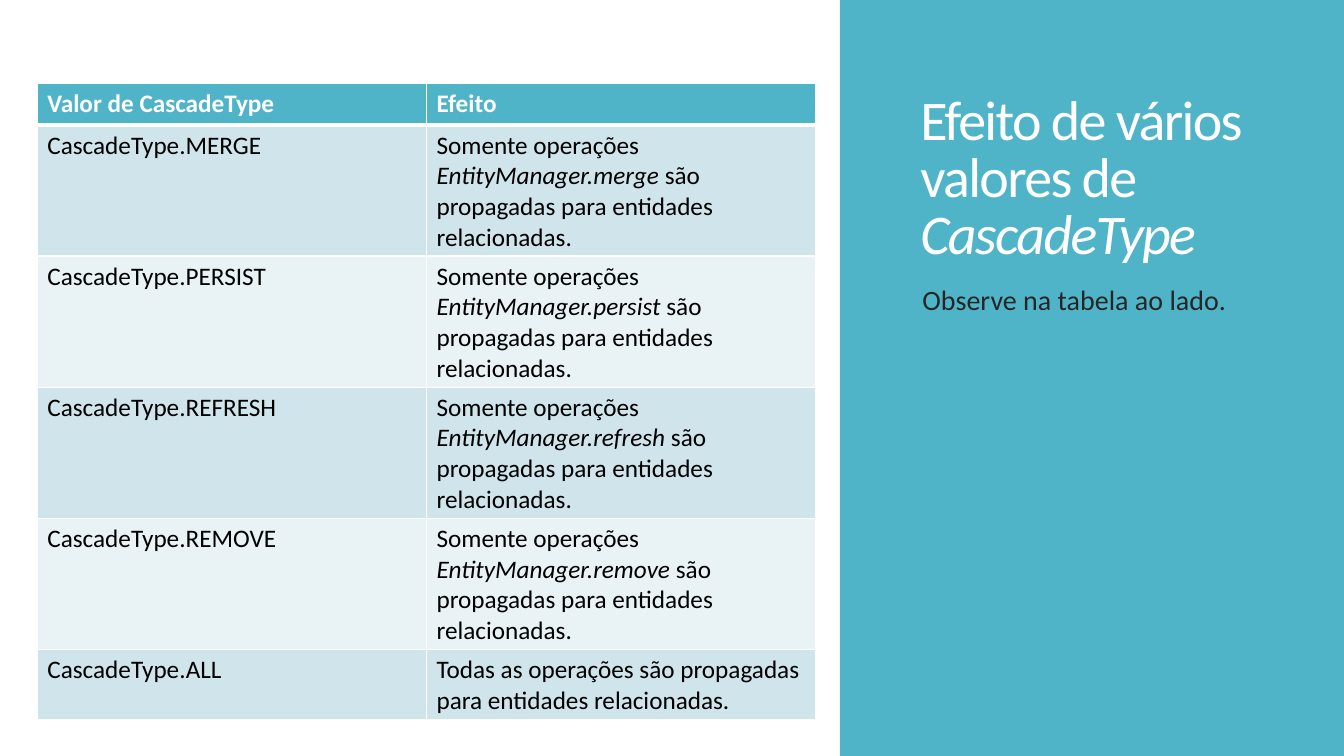
from lxml.etree import SubElement
from pptx import Presentation
from pptx.dml.color import RGBColor
from pptx.enum.shapes import MSO_SHAPE as Shape
from pptx.enum.text import MSO_ANCHOR as Anchor
from pptx.oxml.ns import qn
from pptx.util import Inches, Pt

COLORS = {
    "teal": "50B4C8",
    "white": "FFFFFF",
    "black": "000000",
    "gray": "262626",
    "band_dark": "D0E5EB",
    "band_light": "E9F2F5",
}
OPERATIONS = ["merge", "persist", "refresh", "remove"]


class SlideBuilder:
    font = "Calibri"

    def __init__(self, slide):
        self.slide = slide

    def color(self, name):
        return RGBColor.from_string(COLORS[name])

    def fill_text(self, frame, spans, size, color, bold=False, spacing=None, line=None):
        para = frame.paragraphs[0]
        para.line_spacing = line
        para.font.name = self.font
        para.font.size = Pt(size)
        para.font.bold = bold
        para.font.color.rgb = self.color(color)
        for text, italic in spans:
            span = para.add_run()
            span.text = text
            if italic:
                span.font.italic = True
            if spacing is not None:
                span._r.get_or_add_rPr().set("spc", str(round(spacing * 100)))

    def panel(self, left, top, width, height, color):
        panel = self.slide.shapes.add_shape(
            Shape.RECTANGLE, Inches(left), Inches(top), Inches(width), Inches(height))
        panel.shadow.inherit = False
        panel.fill.solid()
        panel.fill.fore_color.rgb = self.color(color)
        panel.line.fill.background()

    def text(self, left, top, width, height, spans, size, color, anchor=Anchor.TOP, **style):
        box = self.slide.shapes.add_textbox(
            Inches(left), Inches(top), Inches(width), Inches(height))
        frame = box.text_frame
        frame.word_wrap = True
        frame.vertical_anchor = anchor
        self.fill_text(frame, spans, size, color, **style)

    def borders(self, cell, top, bottom):
        properties = cell._tc.get_or_add_tcPr()
        for side, points in (("L", 1), ("R", 1), ("T", top), ("B", bottom)):
            line = SubElement(properties, qn(f"a:ln{side}"), w=str(Pt(points)))
            fill = SubElement(line, qn("a:solidFill"))
            SubElement(fill, qn("a:srgbClr"), val=COLORS["white"])

    def table(self, left, top, width, height, row_height, rows):
        frame = self.slide.shapes.add_table(
            len(rows), len(rows[0]), Inches(left), Inches(top), Inches(width), Inches(height))
        for index, row in enumerate(rows):
            header = index == 0
            band = "teal" if header else "band_dark" if index % 2 else "band_light"
            frame.table.rows[index].height = Inches(row_height)
            for column, spans in enumerate(row):
                cell = frame.table.cell(index, column)
                self.borders(cell, 3 if index == 1 else 1, 3 if header else 1)
                cell.fill.solid()
                cell.fill.fore_color.rgb = self.color(band)
                self.fill_text(cell.text_frame, spans, 18,
                               "white" if header else "black", bold=header)
        frame.height = Inches(height)


def main():
    deck = Presentation()
    deck.slide_width, deck.slide_height = Inches(13.33), Inches(7.5)
    page = SlideBuilder(deck.slides.add_slide(deck.slide_layouts[6]))

    page.panel(8.33, 0, 5, 7.5, "teal")
    page.text(9.03, 0.59, 3.7, 2.1,
              [("Efeito de vários valores de ", False), ("CascadeType", True)],
              40, "white", anchor=Anchor.BOTTOM, spacing=-1.2, line=0.85)

    rows = [[[("Valor de CascadeType", False)], [("Efeito", False)]]]
    for operation in OPERATIONS:
        rows.append([
            [(f"CascadeType.{operation.upper()}", False)],
            [("Somente operações ", False), (f"EntityManager.{operation}", True),
             (" são propagadas para entidades relacionadas.", False)],
        ])
    rows.append([
        [("CascadeType.ALL", False)],
        [("Todas as operações são propagadas para entidades relacionadas.", False)],
    ])
    page.table(0.37, 0.83, 7.72, 6.31, 0.41, rows)

    page.text(9.05, 2.75, 3.72, 3.42, [("Observe na tabela ao lado.", False)], 20, "gray")
    deck.save("out.pptx")


if __name__ == "__main__":
    main()
